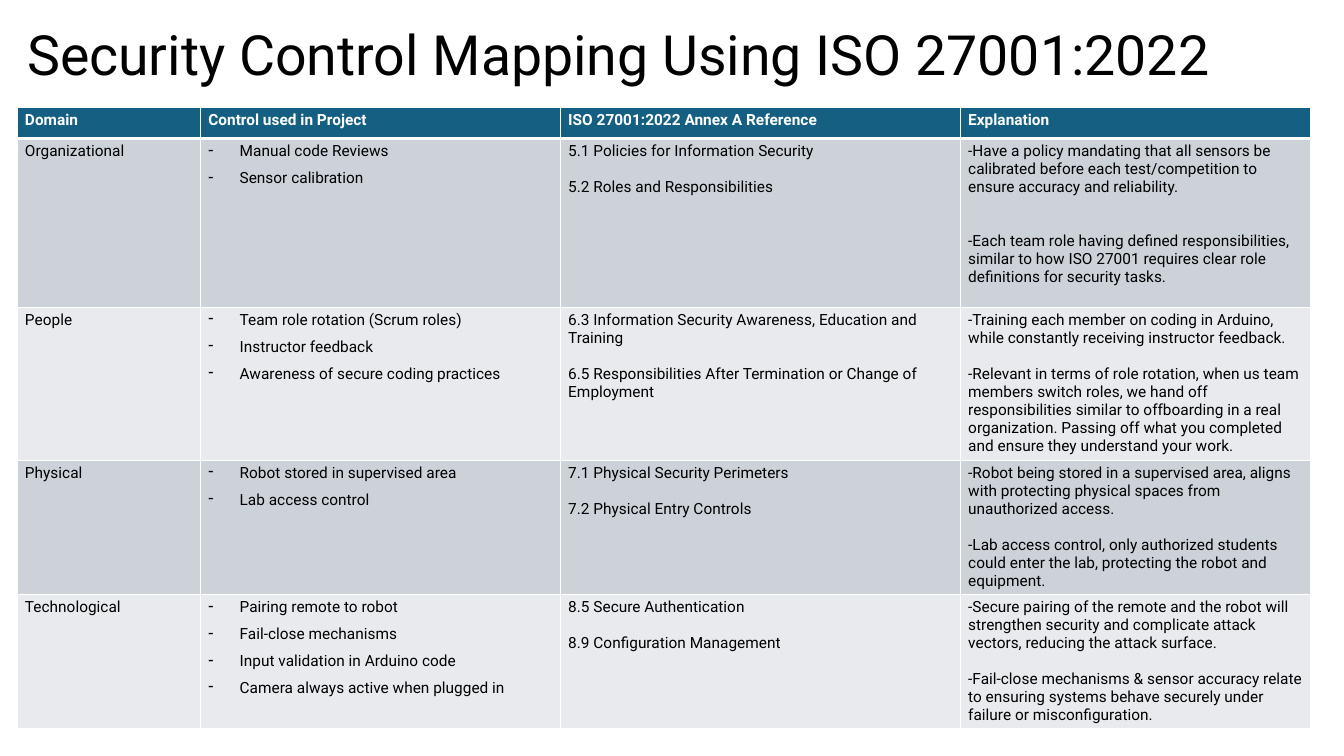
from dataclasses import dataclass

from lxml.etree import SubElement
from pptx import Presentation
from pptx.dml.color import RGBColor as RGB
from pptx.enum.text import MSO_ANCHOR as Anchor, MSO_AUTO_SIZE as AutoSize, PP_ALIGN as Align
from pptx.oxml.ns import qn
from pptx.util import Cm, Pt


@dataclass(frozen=True)
class Theme:
    font: str = "Roboto"
    title_size: float = 39.6
    body_size: float = 11
    ink: str = "000000"
    white: str = "FFFFFF"
    header: str = "156082"
    bands: tuple = ("CCD2D8", "E8EAED")


THEME = Theme()
BODY_LINE = 12.9
COLUMN_WIDTHS = (4.62, 9.07, 10.08, 8.84)
ROW_HEIGHTS = (0.79, 4.25, 3.86, 3.38, 3.38)
HEADINGS = ("Domain", "Control used in Project", "ISO 27001:2022 Annex A Reference", "Explanation")
DOMAINS = (
    ("Organizational",
     ("Manual code Reviews", "Sensor calibration"),
     ("5.1 Policies for Information Security", "5.2 Roles and Responsibilities"),
     ("-Have a policy mandating that all sensors be calibrated before each test/competition "
      "to ensure accuracy and reliability.",
      "-Each team role having defined responsibilities, similar to how ISO 27001 requires "
      "clear role definitions for security tasks."),
     2),
    ("People",
     ("Team role rotation (Scrum roles)", "Instructor feedback",
      "Awareness of secure coding practices"),
     ("6.3 Information Security Awareness, Education and Training",
      "6.5 Responsibilities After Termination or Change of Employment"),
     ("-Training each member on coding in Arduino, while constantly receiving instructor feedback.",
      "-Relevant in terms of role rotation, when us team members switch roles, we hand off "
      "responsibilities similar to offboarding in a real organization. Passing off what you "
      "completed and ensure they understand your work."),
     1),
    ("Physical",
     ("Robot stored in supervised area", "Lab access control"),
     ("7.1 Physical Security Perimeters", "7.2 Physical Entry Controls"),
     ("-Robot being stored in a supervised area, aligns with protecting physical spaces from "
      "unauthorized access.",
      "-Lab access control, only authorized students could enter the lab, protecting the robot "
      "and equipment."),
     1),
    ("Technological",
     ("Pairing remote to robot", "Fail-close mechanisms", "Input validation in Arduino code",
      "Camera always active when plugged in"),
     ("8.5 Secure Authentication", "8.9 Configuration Management"),
     ("-Secure pairing of the remote and the robot will strengthen security and complicate "
      "attack vectors, reducing the attack surface.",
      "-Fail-close mechanisms & sensor accuracy relate to ensuring systems behave securely "
      "under failure or misconfiguration."),
     1),
)


def style(paragraph, size, color, bold=False):
    font = paragraph.font
    font.name, font.size, font.bold = THEME.font, Pt(size), bold
    font.color.rgb = RGB.from_string(color)


def add_dash(paragraph):
    properties = paragraph._p.get_or_add_pPr()
    properties.set("marL", str(Cm(0.79)))
    properties.set("indent", str(-Cm(0.79)))
    SubElement(properties, qn("a:buChar")).set("char", "-")


def add_borders(cell, bottom_width):
    properties = cell._tc.get_or_add_tcPr()
    for side, width in (("L", 1), ("R", 1), ("B", bottom_width)):
        line = SubElement(properties, qn(f"a:ln{side}"), w=str(Pt(width)))
        SubElement(SubElement(line, qn("a:solidFill")), qn("a:srgbClr"), val=THEME.white)


def fill_cell(cell, lines, fill, color=THEME.ink, bold=False, dashed=False, gap=0, bottom=1):
    cell.margin_left = cell.margin_right = Cm(0.2)
    cell.margin_top = cell.margin_bottom = Cm(0.1)
    add_borders(cell, bottom)
    cell.fill.solid()
    cell.fill.fore_color.rgb = RGB.from_string(fill)
    frame = cell.text_frame
    for index, line in enumerate(lines):
        paragraph = frame.add_paragraph() if index else frame.paragraphs[0]
        paragraph.text = line
        if index and dashed:
            paragraph.line_spacing = 1.5
        elif index:
            paragraph.space_before = Pt(gap * BODY_LINE)
        if dashed:
            add_dash(paragraph)
        style(paragraph, THEME.body_size, color, bold)


def place_title(slide, left, top, width, height):
    title = slide.shapes.title
    title.left, title.top, title.width, title.height = left, top, width, height
    frame = title.text_frame
    frame.text = "Security Control Mapping Using ISO 27001:2022"
    frame.vertical_anchor = Anchor.TOP
    frame.auto_size = AutoSize.NONE
    heading = frame.paragraphs[0]
    heading.alignment = Align.LEFT
    heading.line_spacing = 0.9
    style(heading, THEME.title_size, THEME.ink)


def place_control_table(slide, left, top, width, height):
    controls = slide.shapes.add_table(
        len(ROW_HEIGHTS), len(COLUMN_WIDTHS), left, top, width, height).table
    for column, share in zip(controls.columns, COLUMN_WIDTHS):
        column.width = int(width * share / sum(COLUMN_WIDTHS))
    for row, share in zip(controls.rows, ROW_HEIGHTS):
        row.height = int(height * share / sum(ROW_HEIGHTS))
    for column, heading in enumerate(HEADINGS):
        fill_cell(controls.cell(0, column), [heading], THEME.header, THEME.white,
                  bold=True, bottom=3)
    for row, (domain, used, references, reasons, gap) in enumerate(DOMAINS, 1):
        band = THEME.bands[(row - 1) % 2]
        fill_cell(controls.cell(row, 0), [domain], band)
        fill_cell(controls.cell(row, 1), used, band, dashed=True)
        fill_cell(controls.cell(row, 2), references, band, gap=1)
        fill_cell(controls.cell(row, 3), reasons, band, gap=gap)


def main():
    deck = Presentation()
    deck.slide_width, deck.slide_height = Cm(33.87), Cm(19.05)
    slide = deck.slides.add_slide(deck.slide_layouts[5])
    place_title(slide, Cm(0.43), Cm(0.56), Cm(30.4), Cm(3.15))
    place_control_table(slide, Cm(0.43), Cm(2.7), Cm(sum(COLUMN_WIDTHS)), Cm(sum(ROW_HEIGHTS)))
    deck.save("out.pptx")


if __name__ == "__main__":
    main()
